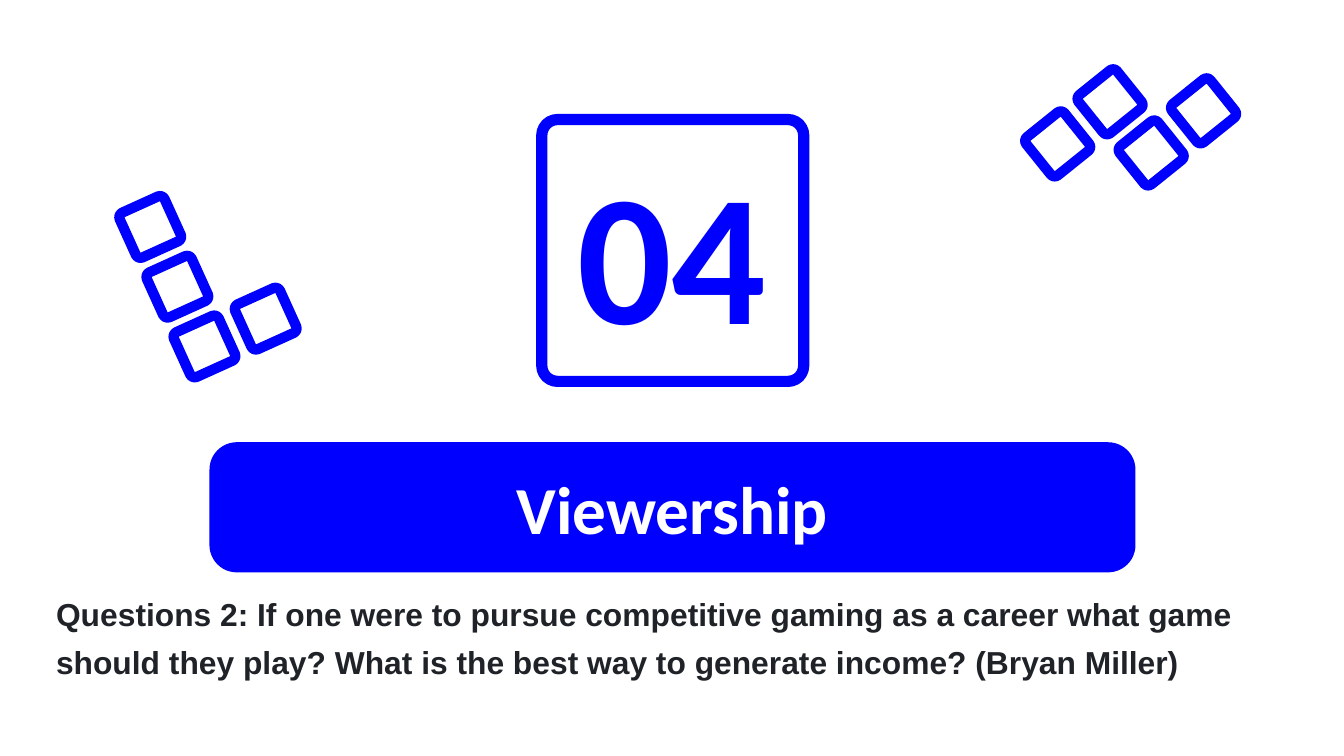
from math import cos, radians, sin

from pptx import Presentation
from pptx.dml.color import RGBColor
from pptx.enum.shapes import MSO_SHAPE
from pptx.enum.text import MSO_ANCHOR, MSO_AUTO_SIZE, PP_ALIGN
from pptx.util import Cm, Pt

BLUE = RGBColor(0x00, 0x00, 0xFE)
WHITE = RGBColor(0xFF, 0xFF, 0xFF)
INK = RGBColor(0x1F, 0x23, 0x28)

SECTION = "Viewership"
NUMBER = "04"
QUESTION = ("Questions 2: If one were to pursue competitive gaming as a career "
            "what game should they play? What is the best way to generate "
            "income? (Bryan Miller)")

BAR_BOX = (3.96, 8.36, 17.5, 2.46)
SECTION_BOX = (4.45, 8.43, 16.51, 2.34)
NUMBER_BOX = (7.85, 2.67, 9.7, 4.09)
FRAME_BOX = (10.24, 2.26, 4.95, 4.95)
QUESTION_BOX = (0.81, 10.82, 24, 3.35)

PIECES = [
    {"first": (2.84, 4.29), "angle": -24.4,
     "cells": [(0, 0), (0, 1), (0, 2), (1, 2)]},
    {"first": (19.99, 2.72), "angle": -38.8,
     "cells": [(0, 0), (1, 0), (1, 1), (2, 1)]},
]
BLOCK = 0.93
COLUMN_STEP, ROW_STEP = 1.27, 1.24


def set_all(target, values):
    for name, value in values.items():
        setattr(target, name, value)


def place(part, box):
    set_all(part, dict(zip(("left", "top", "width", "height"), map(Cm, box))))


def write(part, text, font, color, frame, paragraph):
    part.text_frame.text = text
    set_all(part.text_frame, {
        "word_wrap": True, "auto_size": MSO_AUTO_SIZE.NONE,
        "margin_left": Cm(0.25), "margin_right": Cm(0.25),
        "margin_top": Cm(0.25), "margin_bottom": Cm(0.25), **frame})
    line = part.text_frame.paragraphs[0]
    set_all(line, paragraph)
    run_font = line.runs[0].font
    set_all(run_font, {"bold": True, **font})
    run_font.color.rgb = color


def rounded(shapes, box, corner, fill=None, line_width=None):
    part = shapes.add_shape(MSO_SHAPE.ROUNDED_RECTANGLE, *map(Cm, box))
    part.shadow.inherit = False
    part.adjustments[0] = corner
    if fill is None:
        part.fill.background()
    else:
        part.fill.solid()
        part.fill.fore_color.rgb = fill
    if line_width is None:
        part.line.fill.background()
    else:
        part.line.color.rgb = BLUE
        part.line.width = Pt(line_width)
    return part


def add_piece(shapes, first, angle, cells):
    across, down = cos(radians(angle)), sin(radians(angle))
    for column, row in cells:
        x, y = column * COLUMN_STEP, row * ROW_STEP
        left = first[0] + x * across - y * down - BLOCK / 2
        top = first[1] + x * down + y * across - BLOCK / 2
        block = rounded(shapes, (left, top, BLOCK, BLOCK), 0.1, line_width=5.5)
        block.rotation = angle


def main():
    deck = Presentation()
    set_all(deck, {"slide_width": Cm(25.4), "slide_height": Cm(14.29)})
    slide = deck.slides.add_slide(deck.slide_layouts[0])
    shapes = slide.shapes
    section, number = slide.placeholders

    centred = {"alignment": PP_ALIGN.CENTER, "space_before": Pt(0)}
    middle = {"vertical_anchor": MSO_ANCHOR.MIDDLE}

    bar = rounded(shapes, BAR_BOX, 0.21, fill=BLUE)
    section._element.addprevious(bar._element)

    place(section, SECTION_BOX)
    section.fill.solid()
    section.fill.fore_color.rgb = BLUE
    write(section, SECTION, {"name": "Calibri", "size": Pt(36)}, WHITE,
          middle, centred)

    place(number, NUMBER_BOX)
    write(number, NUMBER, {"name": "Calibri", "size": Pt(100)}, BLUE,
          middle, centred)

    rounded(shapes, FRAME_BOX, 0.06, line_width=6)
    for piece in PIECES:
        add_piece(shapes, **piece)

    question = shapes.add_textbox(*map(Cm, QUESTION_BOX))
    write(question, QUESTION, {"name": "Arial", "size": Pt(17)}, INK,
          {"auto_size": MSO_AUTO_SIZE.SHAPE_TO_FIT_TEXT},
          {"line_spacing": 1.25, "space_before": Pt(18)})

    deck.save("out.pptx")


if __name__ == "__main__":
    main()
